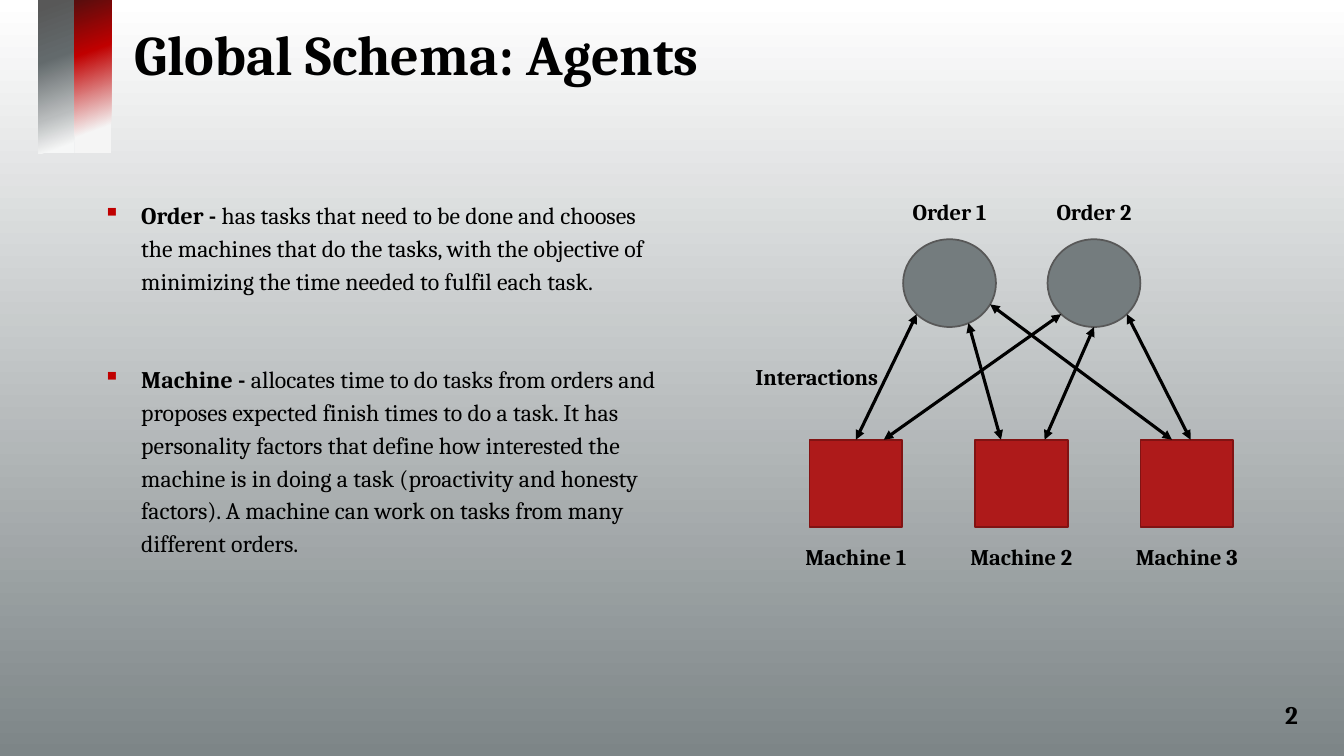
from math import cos, radians, sin

from lxml import etree
from pptx import Presentation
from pptx.dml.color import RGBColor
from pptx.enum.shapes import MSO_CONNECTOR as Connector, MSO_SHAPE as Shape
from pptx.enum.text import MSO_ANCHOR as Anchor, PP_ALIGN as Align
from pptx.oxml.ns import qn
from pptx.util import Cm, Pt

FONT = "Cambria"
COLORS = {
    "text": "000000", "bullet": "C00000",
    "order": "747C7E", "order line": "585858",
    "machine": "AE1A1A", "machine line": "811313",
}
GRADIENTS = {
    "background": [(0, "FFFFFF"), (100, "7D8587")],
    "grey bar": [(6, "F6F7F7"), (27, "B9BCBD"), (62, "636A6C"), (96, "585858")],
    "red bar": [(17, "F5F5F5"), (66, "C00000"), (100, "570D0D")],
}
AGENTS = [
    ("Order - ", "has tasks that need to be done and chooses the machines that do "
     "the tasks, with the objective of minimizing the time needed to fulfil each task."),
    ("Machine - ", "allocates time to do tasks from orders and proposes expected "
     "finish times to do a task. It has personality factors that define how "
     "interested the machine is in doing a task (proactivity and honesty factors). "
     "A machine can work on tasks from many different orders."),
]
# order, angle on its circle, machine, fraction of its top side
INTERACTIONS = [
    (0, 135, 0, 0.5), (0, 66, 1, 0.28), (0, 29, 2, 0.34),
    (1, 45, 2, 0.54), (1, 90, 1, 0.75), (1, 135, 0, 0.8),
]
NODE_WIDTH, NODE_HEIGHT = 2.34, 2.21
LABEL_WIDTH, LABEL_HEIGHT = 4.29, 0.94


def rgb(name):
    return RGBColor.from_string(COLORS[name])


def set_gradient(fill, element, name, angle):
    """Fill with any number of stops; the angle runs counter-clockwise."""
    fill.gradient()
    fill.gradient_angle = angle
    stop_list = next(element.iter(qn("a:gsLst")))
    for stop in list(stop_list):
        stop_list.remove(stop)
    for percent, color in GRADIENTS[name]:
        stop = etree.SubElement(stop_list, qn("a:gs"), pos=str(percent * 1000))
        etree.SubElement(stop, qn("a:srgbClr"), val=color)


def format_run(run, size, bold=True):
    run.font.name = FONT
    run.font.size = Pt(size)
    run.font.bold = bold
    run.font.color.rgb = rgb("text")


def add_text(slide, text, box, size, align=Align.CENTER, anchor=Anchor.TOP):
    frame = slide.shapes.add_textbox(*map(Cm, box)).text_frame
    frame.word_wrap = True
    frame.vertical_anchor = anchor
    frame.text = text
    paragraph = frame.paragraphs[0]
    paragraph.alignment = align
    format_run(paragraph.runs[0], size)


def add_bars(slide, left, top, width, height):
    for column, name in enumerate(("grey bar", "red bar")):
        box = (left + column * width / 2, top, width / 2, height)
        bar = slide.shapes.add_shape(Shape.RECTANGLE, *map(Cm, box))
        bar.shadow.inherit = False
        bar.line.fill.background()
        set_gradient(bar.fill, bar._element, name, 110)


def add_bullet(paragraph):
    properties = paragraph._p.get_or_add_pPr()
    properties.set("marL", str(Cm(2.24)))
    properties.set("indent", str(-Cm(0.96)))
    color = etree.SubElement(properties, qn("a:buClr"))
    etree.SubElement(color, qn("a:srgbClr"), val=COLORS["bullet"])
    etree.SubElement(properties, qn("a:buChar"), char="▪")


def add_descriptions(slide, left, top, width, height):
    box = slide.shapes.add_textbox(Cm(left), Cm(top), Cm(width), Cm(height))
    frame = box.text_frame
    frame.word_wrap = True
    frame.margin_top = frame.margin_bottom = Cm(0.25)
    for index, (agent, description) in enumerate(AGENTS):
        paragraph = frame.add_paragraph() if index else frame.paragraphs[0]
        paragraph.line_spacing = 1.15
        paragraph.space_before = Pt(47 if index else 0)
        add_bullet(paragraph)
        for text, bold in ((agent, True), (description, False)):
            run = paragraph.add_run()
            run.text = text
            format_run(run, 17, bold)


def add_node(slide, kind, preset, left, top, label, label_top):
    box = (left, top, NODE_WIDTH, NODE_HEIGHT)
    node = slide.shapes.add_shape(preset, *map(Cm, box))
    node.shadow.inherit = False
    node.fill.solid()
    node.fill.fore_color.rgb = rgb(kind)
    node.line.color.rgb = rgb(f"{kind} line")
    node.line.width = Pt(1.25)
    label_left = left + (NODE_WIDTH - LABEL_WIDTH) / 2
    add_text(slide, label, (label_left, label_top, LABEL_WIDTH, LABEL_HEIGHT), 16)
    return node


def add_interaction(slide, order, angle, machine, fraction):
    """Draw a two-way arrow from an order's circle to a machine's top side."""
    start_x = order.left + order.width * (1 + cos(radians(angle))) / 2
    start_y = order.top + order.height * (1 + sin(radians(angle))) / 2
    end_x = machine.left + machine.width * fraction
    arrow = slide.shapes.add_connector(
        Connector.STRAIGHT, *map(int, (start_x, start_y, end_x, machine.top)))
    if fraction == 0.5:
        arrow.end_connect(machine, 0)
    arrow.line.color.rgb = rgb("text")
    arrow.line.width = Pt(2.25)
    line = arrow.line._get_or_add_ln()
    for end in ("a:headEnd", "a:tailEnd"):
        etree.SubElement(line, qn(end), type="triangle")
    etree.SubElement(arrow._element.spPr, qn("a:effectLst"))


def add_diagram(slide, left, top):
    orders = [
        add_node(slide, "order", Shape.OVAL, left + 4.32 + 3.64 * index, top + 1.17,
                 f"Order {index + 1}", top)
        for index in range(2)]
    machines = [
        add_node(slide, "machine", Shape.RECTANGLE, left + 1.96 + 4.17 * index,
                 top + 6.22, f"Machine {index + 1}", top + 8.69)
        for index in range(3)]
    for order, angle, machine, fraction in INTERACTIONS:
        add_interaction(slide, orders[order], angle, machines[machine], fraction)
    add_text(slide, "Interactions", (left, top + 4.17, LABEL_WIDTH, LABEL_HEIGHT), 16)


def main():
    presentation = Presentation()
    presentation.slide_width, presentation.slide_height = Cm(33.87), Cm(19.05)
    slide = presentation.slides.add_slide(presentation.slide_layouts[6])
    set_gradient(slide.background.fill, slide._element, "background", 270)
    add_text(slide, "Global Schema: Agents", (0.41, 0.05, 20.19, 2.59), 40,
             anchor=Anchor.MIDDLE)
    add_bars(slide, 0.96, 0, 1.84, 3.86)
    add_descriptions(slide, 1.07, 4.7, 15.95, 11.35)
    add_diagram(slide, 18.44, 4.86)
    add_text(slide, "2", (30.45, 17.5, 2.51, 1.02), 18, Align.RIGHT)
    presentation.save("out.pptx")


if __name__ == "__main__":
    main()
